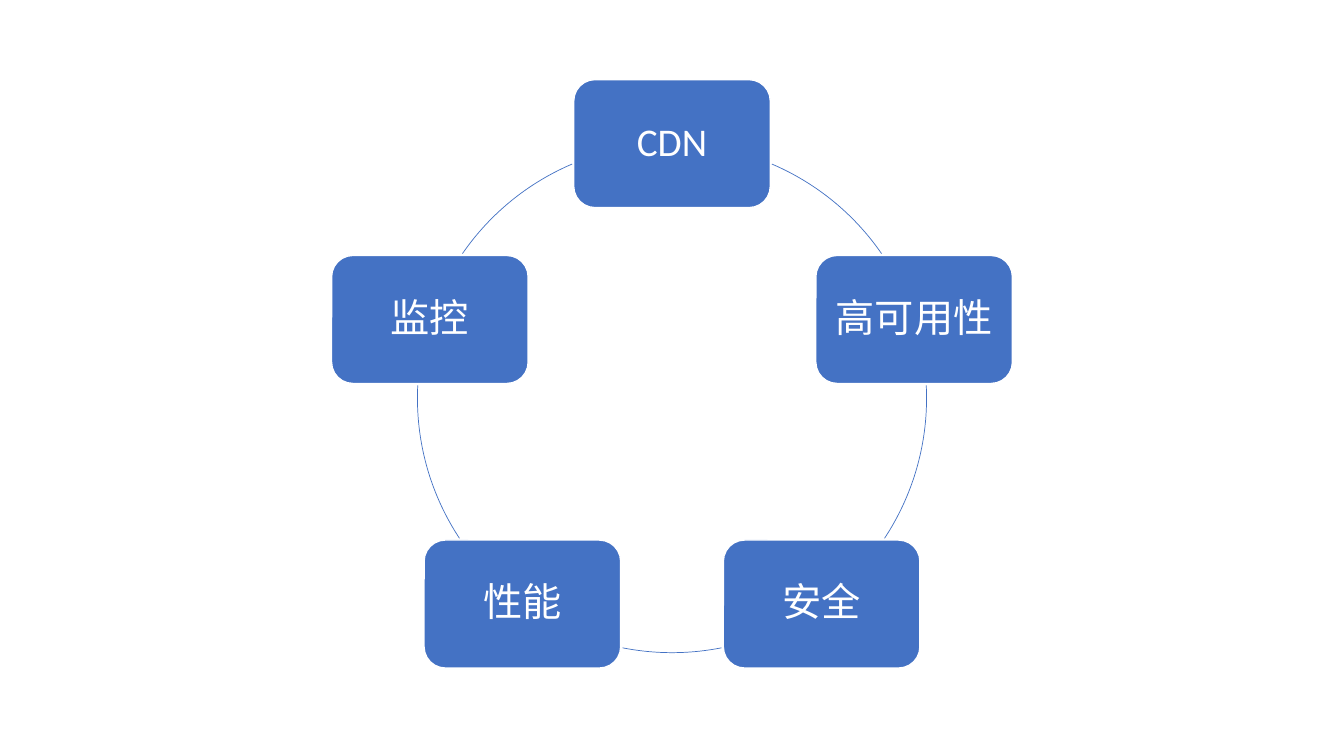
import math
from dataclasses import dataclass

from pptx import Presentation
from pptx.dml.color import RGBColor
from pptx.enum.shapes import MSO_SHAPE
from pptx.enum.text import MSO_ANCHOR, PP_ALIGN
from pptx.util import Inches, Pt

ARC, ROUNDED = MSO_SHAPE.ARC, MSO_SHAPE.ROUNDED_RECTANGLE
MIDDLE, CENTER = MSO_ANCHOR.MIDDLE, PP_ALIGN.CENTER

SLIDE_WIDTH, SLIDE_HEIGHT = 13.33, 7.5
TOPICS = ["CDN", "高可用性", "安全", "性能", "监控"]


@dataclass(frozen=True)
class Theme:
    blue: RGBColor = RGBColor(0x44, 0x72, 0xC4)
    white: RGBColor = RGBColor(0xFF, 0xFF, 0xFF)
    font: str = "Calibri"
    label_size: Pt = Pt(28)
    node_line: Pt = Pt(1)
    arc_line: Pt = Pt(0.5)
    node_width: float = 1.95
    node_height: float = 1.27
    inset: float = 0.12
    gap: float = 0.015


THEME = Theme()


def add_node(page, center_x, center_y, label):
    node = page.shapes.add_shape(
        ROUNDED,
        Inches(center_x - THEME.node_width / 2),
        Inches(center_y - THEME.node_height / 2),
        Inches(THEME.node_width),
        Inches(THEME.node_height),
    )
    node.shadow.inherit = False
    node.fill.solid()
    node.fill.fore_color.rgb = THEME.blue
    node.line.color.rgb = THEME.white
    node.line.width = THEME.node_line
    frame = node.text_frame
    frame.word_wrap = True
    frame.vertical_anchor = MIDDLE
    frame.margin_left = frame.margin_right = Inches(THEME.inset)
    frame.margin_top = frame.margin_bottom = Inches(THEME.inset)
    para = frame.paragraphs[0]
    para.text = label
    para.alignment = CENTER
    para.line_spacing = 0.9
    para.font.name = THEME.font
    para.font.size = THEME.label_size
    para.font.color.rgb = THEME.white


def leave_node(angle, direction, radius):
    half_width = THEME.node_width / 2 + THEME.gap
    half_height = THEME.node_height / 2 + THEME.gap
    start = math.radians(angle)
    for step in range(1, 3600):
        degrees = angle + direction * step / 10
        turn = math.radians(degrees)
        across = radius * abs(math.cos(turn) - math.cos(start))
        down = radius * abs(math.sin(turn) - math.sin(start))
        if across > half_width or down > half_height:
            return degrees
    return angle


def add_arc(page, box, start, end):
    arc = page.shapes.add_shape(ARC, *(Inches(length) for length in box))
    arc.shadow.inherit = False
    arc.adjustments[0] = start % 360 * 0.6
    arc.adjustments[1] = end % 360 * 0.6
    arc.fill.background()
    arc.line.color.rgb = THEME.blue
    arc.line.width = THEME.arc_line


def add_cycle(page, box, topics):
    left, top, diameter, _ = box
    radius = diameter / 2
    sector = 360 / len(topics)
    for index, topic in enumerate(topics):
        angle = index * sector - 90
        turn = math.radians(angle)
        add_node(
            page,
            left + radius * (1 + math.cos(turn)),
            top + radius * (1 + math.sin(turn)),
            topic,
        )
        add_arc(
            page,
            box,
            leave_node(angle, 1, radius),
            leave_node(angle + sector, -1, radius),
        )


def main():
    deck = Presentation()
    deck.slide_width = Inches(SLIDE_WIDTH)
    deck.slide_height = Inches(SLIDE_HEIGHT)
    page = deck.slides.add_slide(deck.slide_layouts[6])
    diameter = 5.05
    ring = ((SLIDE_WIDTH - diameter) / 2, SLIDE_HEIGHT * 0.19, diameter, diameter)
    add_cycle(page, ring, TOPICS)
    deck.save("out.pptx")


if __name__ == "__main__":
    main()
